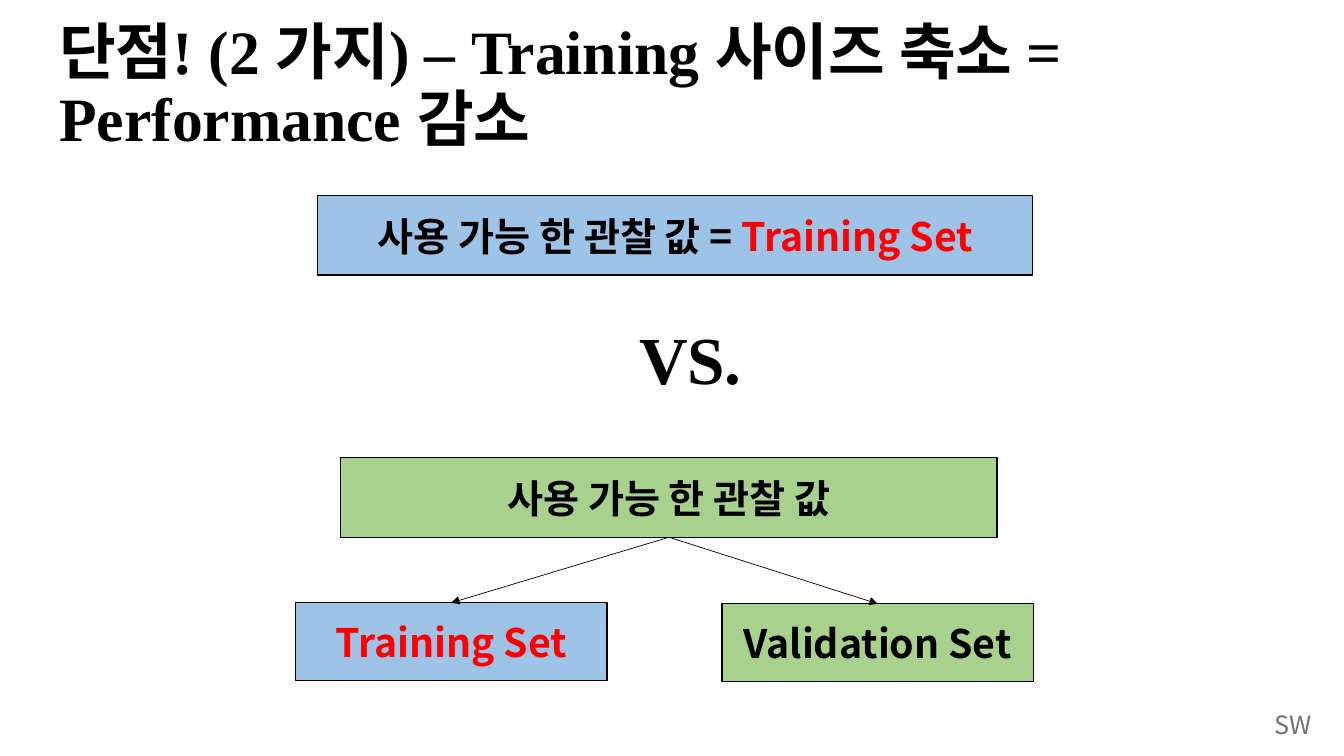
from pptx import Presentation
from pptx.dml.color import RGBColor
from pptx.enum.shapes import MSO_CONNECTOR, MSO_SHAPE
from pptx.enum.text import MSO_ANCHOR, MSO_AUTO_SIZE, PP_ALIGN
from pptx.oxml.ns import qn
from pptx.util import Inches, Pt
from lxml import etree

RECT = MSO_SHAPE.RECTANGLE
STRAIGHT = MSO_CONNECTOR.STRAIGHT
MIDDLE, TOP = MSO_ANCHOR.MIDDLE, MSO_ANCHOR.TOP
CENTER, LEFT = PP_ALIGN.CENTER, PP_ALIGN.LEFT
FIT_SHAPE, FIT_NONE = MSO_AUTO_SIZE.SHAPE_TO_FIT_TEXT, MSO_AUTO_SIZE.NONE

SANS, SERIF = "Noto Sans CJK KR", "Times New Roman"
COLORS = {
    "black": "000000",
    "red": "FF0000",
    "blue": "9DC3E6",
    "green": "A9D18E",
    "gray": "767171",
}

TITLE = "단점! (2 가지) – Training 사이즈 축소 = Performance 감소"
OBSERVED = "사용 가능 한 관찰 값"
BOXES = {
    "all_training": ((3.15, 1.94, 7.09, 0.79), "blue",
                     [(OBSERVED + " = ", "black"), ("Training Set", "red")]),
    "observed": ((3.38, 4.54, 6.51, 0.79), "green", [(OBSERVED, "black")]),
    "training": ((2.93, 5.98, 3.09, 0.77), "blue", [("Training Set", "red")]),
    "validation": ((7.16, 5.99, 3.09, 0.77), "green", [("Validation Set", "black")]),
}
SPLITS = [("observed", "training"), ("observed", "validation")]


def rgb(name):
    """Return the named colour."""
    return RGBColor.from_string(COLORS[name])


def add_runs(tf, runs, size, font, bold=True, align=LEFT):
    """Fill the first paragraph with coloured runs."""
    p = tf.paragraphs[0]
    p.alignment = align
    for text, color in runs:
        r = p.add_run()
        r.text = text
        r.font.size, r.font.bold, r.font.name = Pt(size), bold, font
        r.font.color.rgb = rgb(color)
        ea = etree.SubElement(r.font._element, qn("a:ea"))
        ea.set("typeface", SANS)
    return p


def add_text(slide, at, text, size, font, color="black", bold=True,
             wrap=False, anchor=TOP):
    """Add a text box and return its paragraph."""
    tf = slide.shapes.add_textbox(*map(Inches, at)).text_frame
    tf.word_wrap, tf.vertical_anchor = wrap, anchor
    tf.auto_size = FIT_NONE if wrap else FIT_SHAPE
    return add_runs(tf, [(text, color)], size, font, bold)


def add_box(slide, at, fill, runs):
    """Add an outlined box with centred text."""
    sp = slide.shapes.add_shape(RECT, *map(Inches, at))
    sp.shadow.inherit = False
    sp.fill.solid()
    sp.fill.fore_color.rgb = rgb(fill)
    sp.line.color.rgb = rgb("black")
    sp.line.width = Pt(1)
    sp.text_frame.word_wrap = True
    sp.text_frame.vertical_anchor = MIDDLE
    add_runs(sp.text_frame, runs, 28, SANS, align=CENTER)
    return sp


def add_arrow(slide, parent, child):
    """Connect the bottom of one box to the top of another."""
    cxn = slide.shapes.add_connector(STRAIGHT, 0, 0, 0, 0)
    cxn.begin_connect(parent, 2)
    cxn.end_connect(child, 0)
    cxn.line.color.rgb = rgb("black")
    cxn.line.width = Pt(0.5)
    tail = etree.SubElement(cxn.line._get_or_add_ln(), qn("a:tailEnd"))
    tail.set("type", "triangle")
    etree.SubElement(cxn._element.spPr, qn("a:effectLst"))


def main():
    """Build the slide on training set size."""
    prs = Presentation()
    prs.slide_width, prs.slide_height = Inches(13.33), Inches(7.5)
    s = prs.slides.add_slide(prs.slide_layouts[6])
    add_text(s, (12.54, 6.99, 0.58, 0.4), "SW", 18, SANS, "gray", bold=False)
    title = add_text(s, (0.49, 0.15, 11.5, 1.45), TITLE, 44, SERIF,
                     wrap=True, anchor=MIDDLE)
    title.line_spacing = 0.9
    boxes = {name: add_box(s, *box) for name, box in BOXES.items()}
    for parent, child in SPLITS:
        add_arrow(s, boxes[parent], boxes[child])
    add_text(s, (6.24, 3.1, 1.23, 0.91), "VS.", 48, SERIF)
    prs.save("out.pptx")


if __name__ == "__main__":
    main()
